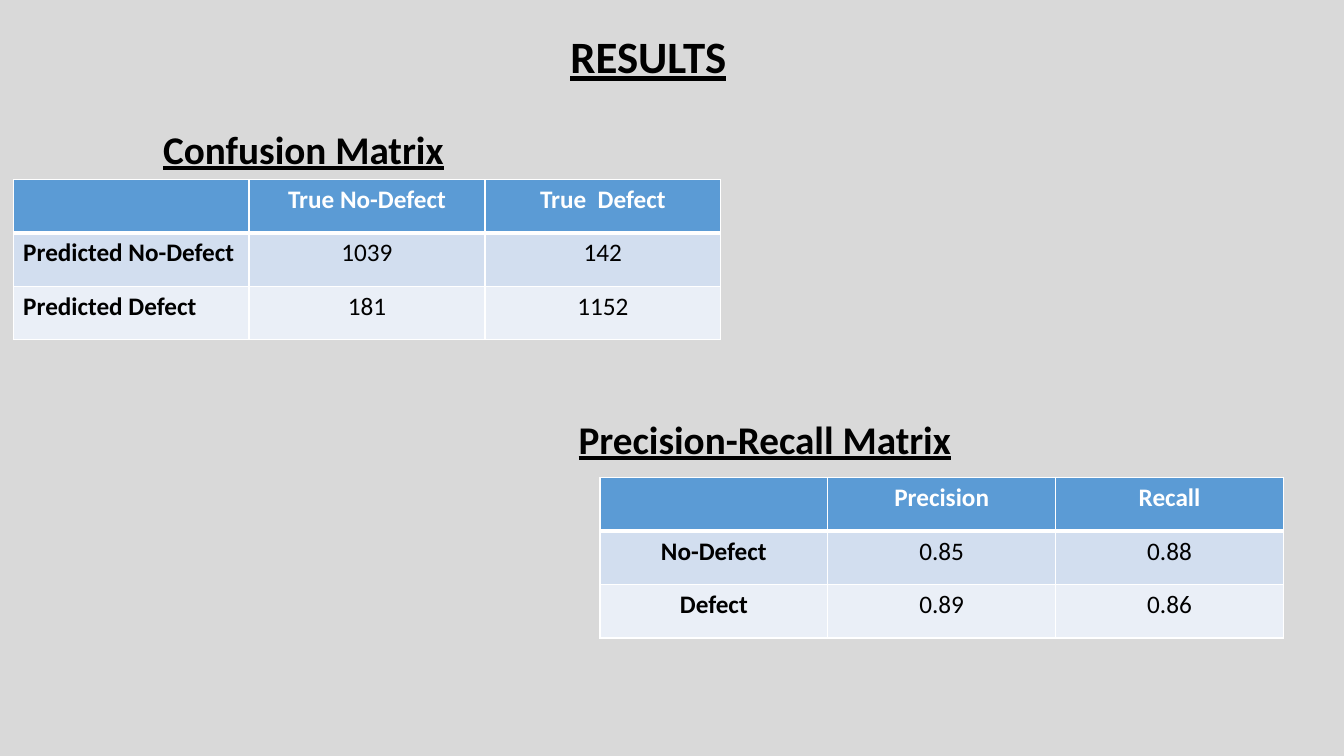
from dataclasses import dataclass

from lxml.etree import SubElement
from pptx import Presentation
from pptx.dml.color import RGBColor as RGB
from pptx.enum.text import MSO_AUTO_SIZE as AutoSize, PP_ALIGN as Align
from pptx.oxml.ns import qn
from pptx.util import Inches, Pt


@dataclass(frozen=True)
class Theme:
    font: str = "Calibri"
    background: str = "D9D9D9"
    ink: str = "000000"
    white: str = "FFFFFF"
    row_fills: tuple = ("5B9BD5", "D2DEEF", "EAEFF7")
    title_size: int = 32
    heading_size: int = 28
    cell_size: int = 18
    thin: int = 1
    thick: int = 3


class ResultsSlide:
    def __init__(self, prs, theme):
        self.theme = theme
        self.s = prs.slides.add_slide(prs.slide_layouts[6])
        fill = self.s.background.fill
        fill.solid()
        fill.fore_color.rgb = RGB.from_string(theme.background)

    def style(self, p, size, color, bold):
        p.font.name = self.theme.font
        p.font.size = Pt(size)
        p.font.bold = bold
        p.font.color.rgb = RGB.from_string(color)

    def heading(self, text, left, top, width, height, size, wrap=True):
        sp = self.s.shapes.add_textbox(Inches(left), Inches(top), Inches(width), Inches(height))
        tf = sp.text_frame
        tf.word_wrap = wrap
        tf.auto_size = AutoSize.SHAPE_TO_FIT_TEXT
        p = tf.paragraphs[0]
        p.text = text
        self.style(p, size, self.theme.ink, True)
        p.font.underline = True

    def borders(self, cell, row):
        tc_pr = cell._tc.get_or_add_tcPr()
        thick_side = {0: "lnB", 1: "lnT"}.get(row)
        for side in ("lnL", "lnR", "lnT", "lnB"):
            width = self.theme.thick if side == thick_side else self.theme.thin
            ln = SubElement(tc_pr, qn(f"a:{side}"), w=str(Pt(width)))
            fill = SubElement(ln, qn("a:solidFill"))
            SubElement(fill, qn("a:srgbClr"), val=self.theme.white)

    def matrix(self, rows, left, top, col_width, row_height, label_align):
        n_rows, n_cols = len(rows), len(rows[0])
        frame = self.s.shapes.add_table(
            n_rows, n_cols, Inches(left), Inches(top),
            Inches(col_width * n_cols), Inches(row_height * n_rows))
        for i, values in enumerate(rows):
            for j, value in enumerate(values):
                cell = frame.table.cell(i, j)
                self.borders(cell, i)
                cell.fill.solid()
                cell.fill.fore_color.rgb = RGB.from_string(self.theme.row_fills[i])
                p = cell.text_frame.paragraphs[0]
                p.text = value
                p.alignment = Align.CENTER if j else label_align
                color = self.theme.ink if i else self.theme.white
                self.style(p, self.theme.cell_size, color, i == 0 or j == 0)


def main():
    prs = Presentation()
    prs.slide_width, prs.slide_height = Inches(13.33), Inches(7.5)
    theme = Theme()
    slide = ResultsSlide(prs, theme)

    slide.heading("RESULTS", 5.56, 0.24, 2.16, 0.64, theme.title_size)
    slide.heading("Confusion Matrix", 1.52, 1.19, 3.92, 0.57, theme.heading_size)
    slide.matrix([
        ("", "True No-Defect", "True  Defect"),
        ("Predicted No-Defect", "1039", "142"),
        ("Predicted Defect", "181", "1152"),
    ], 0.13, 1.78, 2.34, 0.53, Align.LEFT)
    slide.matrix([
        ("", "Precision", "Recall"),
        ("No-Defect", "0.85", "0.88"),
        ("Defect", "0.89", "0.86"),
    ], 5.95, 4.74, 2.26, 0.53, Align.CENTER)
    slide.heading("Precision-Recall Matrix", 5.64, 4.07, 3.94, 0.57,
                  theme.heading_size, wrap=False)

    prs.save("out.pptx")


if __name__ == "__main__":
    main()
